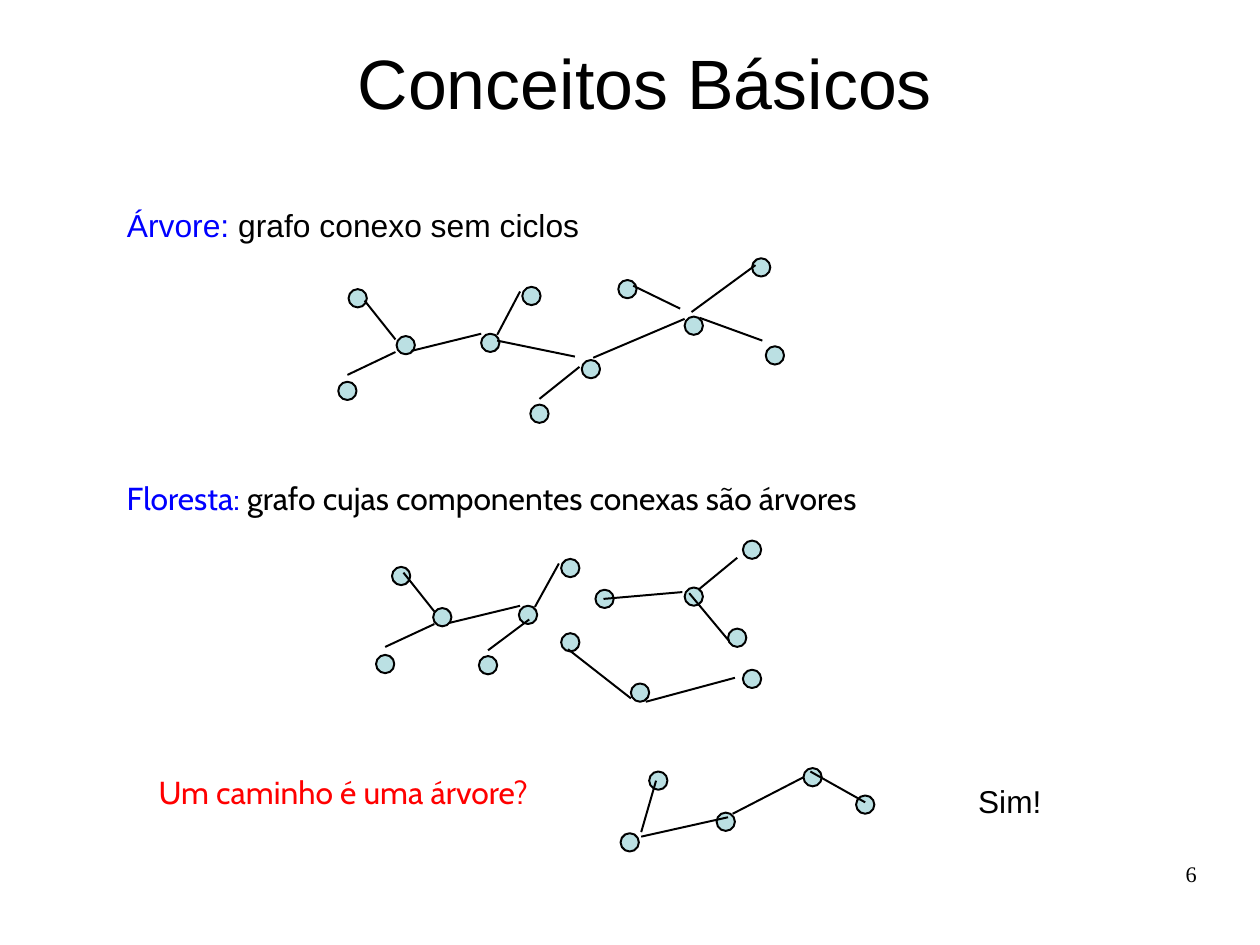
from lxml.etree import SubElement
from pptx import Presentation
from pptx.dml.color import RGBColor
from pptx.enum.shapes import MSO_CONNECTOR, MSO_SHAPE
from pptx.enum.text import MSO_ANCHOR as Anchor, MSO_AUTO_SIZE as AutoSize, PP_ALIGN as Align
from pptx.oxml.ns import qn
from pptx.util import Cm, Inches, Pt

COLORS = {"text": "000000", "term": "0000FF", "question": "FF0000", "node": "BBE0E3"}
NODE_SIZE = 0.16
LINE_WIDTH = Pt(1.25)

# Nodes are (left, top); edges are (x1, y1, x2, y2), all in inches.
TREE = {
    "nodes": [(4.57, 2.51), (4.21, 2.92), (2.96, 3.34), (3.47, 2.94), (3.05, 2.53),
              (5.09, 3.15), (4.64, 3.54), (5.41, 2.45), (5.99, 2.77), (6.7, 3.03),
              (6.58, 2.26)],
    "edges": [(3.6, 3.07, 4.21, 2.92), (4.35, 2.98, 5.03, 3.12), (4.35, 2.93, 4.55, 2.55),
              (3.19, 2.63, 3.46, 2.97), (3.46, 3.08, 3.04, 3.28), (5.07, 3.21, 4.72, 3.49),
              (5.99, 2.79, 5.19, 3.13), (5.54, 2.5, 5.95, 2.7), (6.61, 2.32, 6.05, 2.73),
              (6.12, 2.78, 6.67, 2.98)],
}
FOREST = {
    "nodes": [(4.91, 4.89), (4.54, 5.3), (3.29, 5.73), (3.79, 5.32), (3.43, 4.96),
              (4.19, 5.74), (6.5, 5.86), (5.52, 5.98), (4.91, 5.54), (5.21, 5.16),
              (6.5, 4.73), (5.99, 5.14), (6.37, 5.5)],
    "edges": [(3.93, 5.45, 4.55, 5.3), (4.68, 5.31, 4.89, 4.93), (3.53, 5.01, 3.8, 5.35),
              (3.8, 5.46, 3.37, 5.66), (4.63, 5.42, 4.27, 5.69), (5.65, 6.14, 6.43, 5.93),
              (5.52, 6.11, 4.97, 5.68), (5.97, 5.18, 5.28, 5.24), (6.38, 5.61, 6.03, 5.19),
              (6.11, 5.16, 6.45, 4.88)],
}
PATH_GRAPH = {
    "nodes": [(6.27, 7.11), (7.03, 6.72), (7.49, 6.96), (5.43, 7.29), (5.68, 6.75)],
    "edges": [(7.03, 6.8, 6.41, 7.12), (6.37, 7.15, 5.61, 7.32),
              (7.57, 7.02, 7.09, 6.75), (5.61, 7.28, 5.74, 6.83)],
}


def rgb(name):
    return RGBColor.from_string(COLORS[name])


def set_attributes(target, values):
    for name, value in values.items():
        setattr(target, name, value)


def write_text(holder, box, runs, size, font="Arial", align=Align.LEFT, before=0,
               hanging=False, **frame_format):
    """Place a text holder and fill it with one paragraph of (text, colour) runs."""
    set_attributes(holder, dict(zip(("left", "top", "width", "height"), map(Inches, box))))
    frame = holder.text_frame
    set_attributes(frame, {
        "word_wrap": True, "auto_size": AutoSize.NONE, "vertical_anchor": Anchor.TOP,
        "margin_left": Inches(0.1), "margin_right": Inches(0.1),
        "margin_top": Inches(0.05), "margin_bottom": Inches(0.05), **frame_format})
    paragraph = frame.paragraphs[0]
    set_attributes(paragraph, {"alignment": align, "space_before": Pt(before)})
    properties = paragraph._p.get_or_add_pPr()
    indent = Inches(0.25) if hanging else 0
    properties.set("marL", str(indent))
    properties.set("indent", str(-indent))
    SubElement(properties, qn("a:buNone"))
    for text, color in runs:
        run = paragraph.add_run()
        run.text = text
        set_attributes(run.font, {"name": font, "size": Pt(size)})
        run.font.color.rgb = rgb(color)


def add_text(slide, box, *args, **text_format):
    holder = slide.shapes.add_textbox(*map(Inches, box))
    write_text(holder, box, *args, **text_format)


def style_line(line):
    line.color.rgb = rgb("text")
    line.width = LINE_WIDTH


def add_node(shapes, left, top):
    node = shapes.add_shape(MSO_SHAPE.OVAL, *map(Inches, (left, top, NODE_SIZE, NODE_SIZE)))
    node.shadow.inherit = False
    node.fill.solid()
    node.fill.fore_color.rgb = rgb("node")
    style_line(node.line)


def add_edge(shapes, *ends):
    edge = shapes.add_connector(MSO_CONNECTOR.STRAIGHT, *map(Inches, ends))
    style_line(edge.line)
    SubElement(edge._element.spPr, qn("a:effectLst"))


def add_graph(slide, graph):
    shapes = slide.shapes.add_group_shape().shapes
    for node in graph["nodes"]:
        add_node(shapes, *node)
    for edge in graph["edges"]:
        add_edge(shapes, *edge)


def main():
    deck = Presentation()
    deck.slide_width = Cm(28)
    deck.slide_height = Cm(21)
    slide = deck.slides.add_slide(deck.slide_layouts[1])

    write_text(slide.shapes.title, (1.74, 0.25, 7.81, 0.92), [("Conceitos Básicos", "text")],
               44, align=Align.CENTER, vertical_anchor=Anchor.MIDDLE)
    write_text(slide.placeholders[1], (1.01, 1.75, 8.91, 0.74),
               [("Árvore: ", "term"), ("grafo conexo sem ciclos", "text")],
               20, before=5, hanging=True)
    add_graph(slide, TREE)

    add_text(slide, (1.01, 4.14, 8.91, 0.73),
             [("Floresta: ", "term"), ("grafo cujas componentes conexas são árvores", "text")],
             20, font="Cabin", before=5, hanging=True)
    add_graph(slide, FOREST)

    add_text(slide, (1.29, 6.71, 4.04, 0.73), [("Um caminho é uma árvore?", "question")],
             20, font="Cabin", before=5)
    add_graph(slide, PATH_GRAPH)
    add_text(slide, (8.46, 6.79, 0.75, 0.41), [("Sim!", "text")], 19.9, word_wrap=False)
    add_text(slide, (7.9, 7.53, 2.57, 0.57), [("6", "text")], 14, font="Times New Roman",
             align=Align.RIGHT, margin_left=0, margin_right=0, margin_top=0, margin_bottom=0)
    deck.save("out.pptx")


if __name__ == "__main__":
    main()
